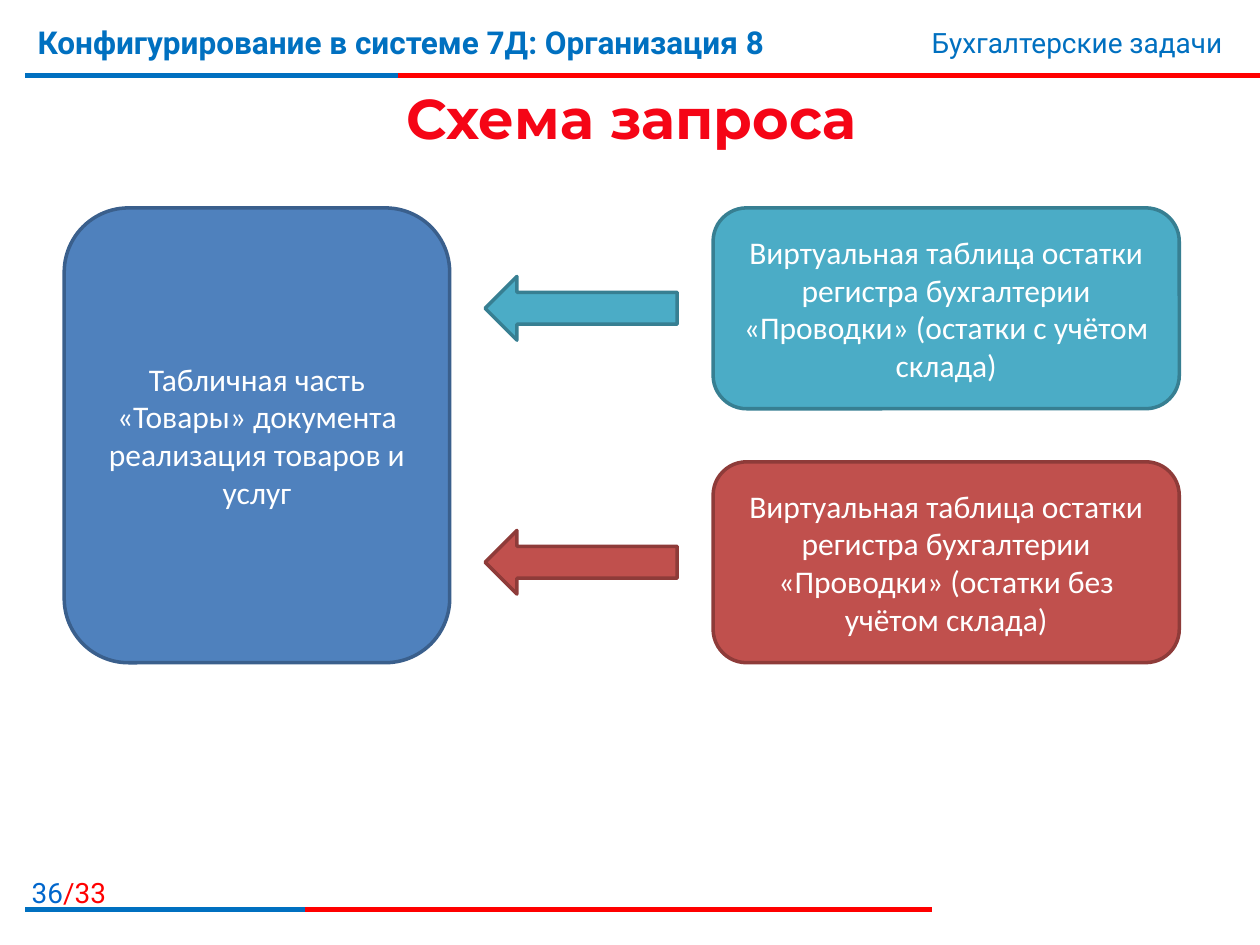
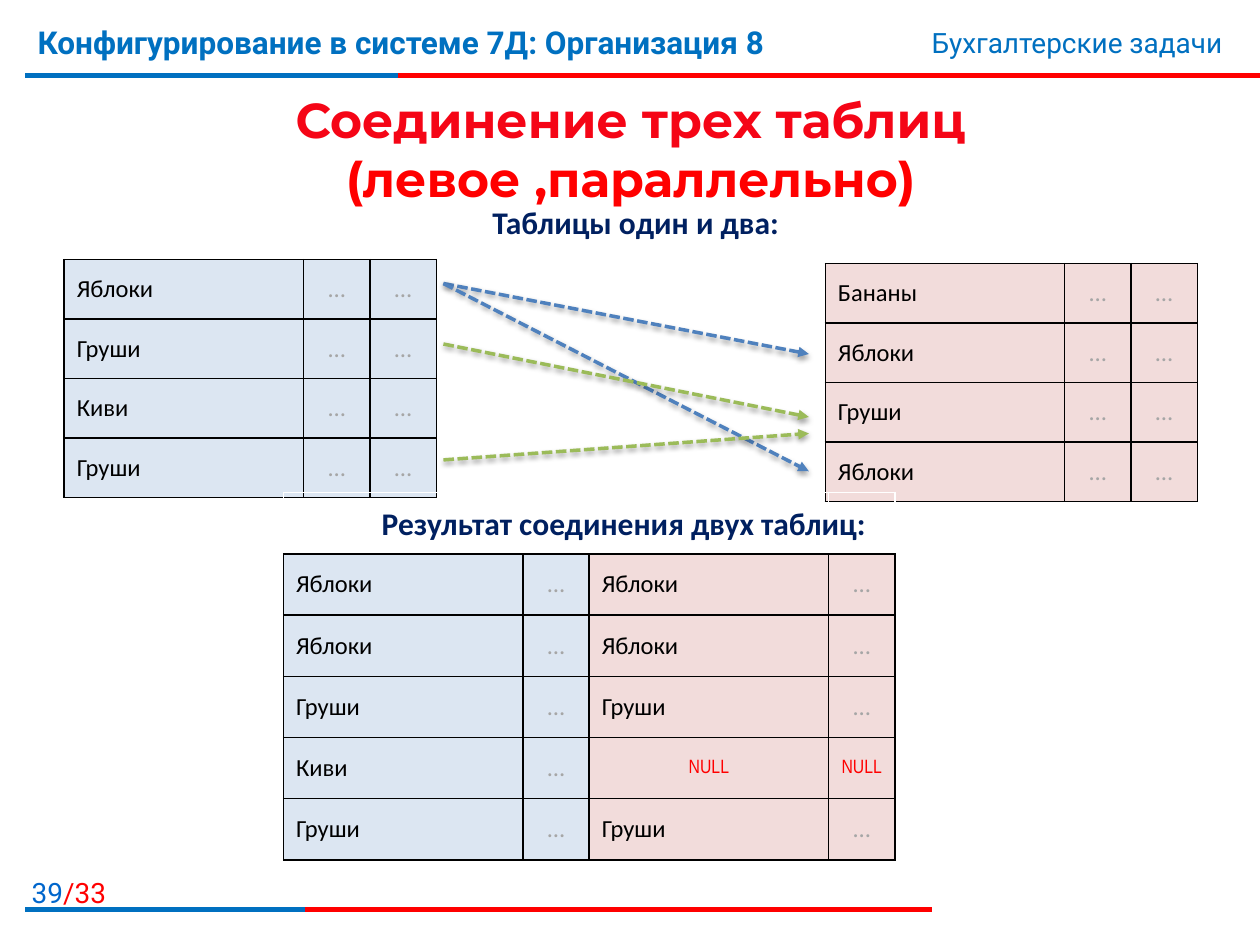
from lxml import etree
from pptx import Presentation
from pptx.dml.color import RGBColor
from pptx.enum.dml import MSO_LINE
from pptx.enum.shapes import MSO_CONNECTOR, MSO_SHAPE
from pptx.enum.text import MSO_ANCHOR, MSO_AUTO_SIZE, PP_ALIGN
from pptx.oxml import parse_xml
from pptx.oxml.ns import nsdecls, qn
from pptx.util import Pt

WHITE = RGBColor(0xFF, 0xFF, 0xFF)
BLACK = RGBColor(0, 0, 0)
RED = RGBColor(0xFF, 0, 0)
TITLE_RED = RGBColor(0xF5, 0x05, 0x16)
BAND_BLUE = RGBColor(0, 0x70, 0xC0)
PAGE_BLUE = RGBColor(0, 0x66, 0xCC)
NAVY = RGBColor(0, 0x20, 0x60)
GRAY = RGBColor(0xA6, 0xA6, 0xA6)
BLUE, BLUE_EDGE = RGBColor(0x4F, 0x81, 0xBD), RGBColor(0x3A, 0x5F, 0x8C)
TEAL, TEAL_EDGE = RGBColor(0x4B, 0xAC, 0xC6), RGBColor(0x37, 0x7F, 0x92)
BRICK, BRICK_EDGE = RGBColor(0xC0, 0x50, 0x4D), RGBColor(0x8E, 0x3B, 0x39)
GREEN = RGBColor(0x9B, 0xBB, 0x59)
PALE_BLUE = RGBColor(0xDC, 0xE6, 0xF2)
PALE_RED = RGBColor(0xF2, 0xDC, 0xDB)

COURSE = "Конфигурирование в системе 7Д: Организация 8"
TOPIC = "Бухгалтерские задачи"
PAGE_TOTAL = "/33"
BANDS = [(43.2, 706.3, 213.1), (519.8, 518.4, 159.8)]
BAND_LEFT = 14.4

SCHEMA_TITLE = [("Схема запроса", TITLE_RED)]
DOCUMENT = "Табличная часть «Товары» документа реализация товаров и услуг"
DOCUMENT_BOX = (36.7, 118.8, 220.3, 259.9)
REGISTERS = [
    ("Виртуальная таблица остатки регистра бухгалтерии «Проводки» (остатки с учётом склада)",
     118.8, TEAL, TEAL_EDGE),
    ("Виртуальная таблица остатки регистра бухгалтерии «Проводки» (остатки без учётом склада)",
     263.9, BRICK, BRICK_EDGE),
]
REGISTER_LEFT, REGISTER_WIDTH, REGISTER_HEIGHT = 407.5, 266.4, 114.8
ARROW_LEFT, ARROW_WIDTH, ARROW_HEIGHT = 277.2, 109.8, 36.4

JOIN_TITLE = [("Соединение трех таблиц", TITLE_RED), ("(левое ,параллельно)", RED)]
DOTS, NULL = "…", "NULL"
LEFT_FRUITS = ["Яблоки", "Груши", "Киви", "Груши"]
RIGHT_FRUITS = ["Бананы", "Яблоки", "Груши", "Яблоки"]
JOINED = [
    ("Яблоки", "Яблоки"),
    ("Яблоки", "Яблоки"),
    ("Груши", "Груши"),
    ("Киви", NULL),
    ("Груши", "Груши"),
]
NAME_COLUMN, DOTS_COLUMN = 136.8, 37.9
CAPTIONS = [
    ("Таблицы один и два:", 274.3, 112.3, 180),
    ("Результат соединения двух таблиц:", 211, 284.6, 293.8),
]
LINKS = [(162, 202.3, BLUE), (162, 269.3, BLUE), (196.6, 238.3, GREEN), (262.8, 247.7, GREEN)]
LINK_START, LINK_END = 253.4, 462.2


def add_run(paragraph, text, size, color, font="Calibri", bold=False):
    run = paragraph.add_run()
    run.text = text
    run.font.size = Pt(size)
    run.font.name = font
    run.font.bold = bold
    run.font.color.rgb = color


def add_label(slide, box, runs, align=PP_ALIGN.LEFT, wrap=True):
    label = slide.shapes.add_textbox(*map(Pt, box))
    label.text_frame.word_wrap = wrap
    paragraph = label.text_frame.paragraphs[0]
    paragraph.alignment = align
    for run in runs:
        add_run(paragraph, *run)


def add_line(slide, start, end, color, width):
    line = slide.shapes.add_connector(MSO_CONNECTOR.STRAIGHT, *map(Pt, start + end))
    line.line.color.rgb = color
    line.line.width = Pt(width)
    effects = etree.SubElement(line._element.spPr, qn("a:effectLst"))
    return line, effects


def add_link(slide, start_y, end_y, color):
    link, effects = add_line(slide, (LINK_START, start_y), (LINK_END, end_y), color, 2)
    link.line.dash_style = MSO_LINE.SQUARE_DOT
    etree.SubElement(link.line._get_or_add_ln(), qn("a:tailEnd"), type="triangle")
    effects.append(parse_xml(
        f'<a:outerShdw {nsdecls("a")} blurRad="40000" dist="20000" dir="5400000" rotWithShape="0">'
        '<a:srgbClr val="000000"><a:alpha val="38000"/></a:srgbClr></a:outerShdw>'))


def start_slide(deck, page, title_lines, title_size, title_box):
    slide = deck.slides.add_slide(deck.slide_layouts[5])
    for y, full, blue in BANDS:
        for length, color in ((full, RED), (blue, BAND_BLUE)):
            add_line(slide, (BAND_LEFT, y), (BAND_LEFT + length, y), color, 3)
    add_label(slide, (0, 496.8, 67.7, 23),
              [(page, 16, PAGE_BLUE, "Roboto"), (PAGE_TOTAL, 16, RED, "Roboto")], PP_ALIGN.RIGHT)
    add_label(slide, (14.4, 9.4, 532.8, 44.6), [(COURSE, 18, BAND_BLUE, "Roboto", True)])
    add_label(slide, (427.7, 10.8, 277.9, 26.6),
              [(TOPIC, 16, BAND_BLUE, "Roboto")], PP_ALIGN.RIGHT)

    title = slide.shapes.title
    title.left, title.top, title.width, title.height = map(Pt, title_box)
    frame = title.text_frame
    frame.auto_size = MSO_AUTO_SIZE.NONE
    frame.vertical_anchor = MSO_ANCHOR.MIDDLE
    paragraph = frame.paragraphs[0]
    paragraph.alignment = PP_ALIGN.CENTER
    for index, (text, color) in enumerate(title_lines):
        if index:
            paragraph.add_line_break()
        add_run(paragraph, text, title_size, color, "Montserrat", True)
    return slide


def add_block(slide, kind, box, fill, edge, text=None):
    block = slide.shapes.add_shape(kind, *map(Pt, box))
    block.shadow.inherit = False
    block.fill.solid()
    block.fill.fore_color.rgb = fill
    block.line.color.rgb = edge
    block.line.width = Pt(2)
    if text:
        block.text_frame.word_wrap = True
        block.text_frame.vertical_anchor = MSO_ANCHOR.MIDDLE
        paragraph = block.text_frame.paragraphs[0]
        paragraph.alignment = PP_ALIGN.CENTER
        add_run(paragraph, text, 18, WHITE)


def border_cell(cell, colors):
    properties = cell._tc.get_or_add_tcPr()
    for side, color in zip("LRTB", colors):
        properties.append(parse_xml(
            f'<a:ln{side} {nsdecls("a")} w="12700"><a:solidFill>'
            f'<a:srgbClr val="{color}"/></a:solidFill></a:ln{side}>'))


def fill_cell(cell, text, color):
    if text is None:
        border_cell(cell, (WHITE, WHITE, WHITE, BLACK))
        cell.fill.background()
        return
    border_cell(cell, [BLACK] * 4)
    cell.fill.solid()
    cell.fill.fore_color.rgb = color
    cell.vertical_anchor = MSO_ANCHOR.MIDDLE
    paragraph = cell.text_frame.paragraphs[0]
    if text in (DOTS, NULL):
        paragraph.alignment = PP_ALIGN.CENTER
    if text == NULL:
        add_run(paragraph, text, 11, RED, "Arial Narrow")
    else:
        add_run(paragraph, text, 14, GRAY if text == DOTS else BLACK)


def add_fruit_table(slide, left, top, row_height, columns, rows):
    widths = [width for width, _ in columns]
    table = slide.shapes.add_table(len(rows), len(columns), Pt(left), Pt(top),
                                   Pt(sum(widths)), Pt(row_height * len(rows))).table
    table.first_row = table.horz_banding = False
    for column, width in zip(table.columns, widths):
        column.width = Pt(width)
    for r, row in enumerate(rows):
        table.rows[r].height = Pt(row_height)
        for c, text in enumerate(row):
            fill_cell(table.cell(r, c), text, columns[c][1])


def build_schema(deck):
    slide = start_slide(deck, "36", SCHEMA_TITLE, 32, (15.1, 45.4, 691.9, 43.2))
    add_block(slide, MSO_SHAPE.ROUNDED_RECTANGLE, DOCUMENT_BOX, BLUE, BLUE_EDGE, DOCUMENT)
    for text, top, fill, edge in REGISTERS:
        add_block(slide, MSO_SHAPE.ROUNDED_RECTANGLE,
                  (REGISTER_LEFT, top, REGISTER_WIDTH, REGISTER_HEIGHT), fill, edge, text)
        arrow_top = top + (REGISTER_HEIGHT - ARROW_HEIGHT) / 2
        add_block(slide, MSO_SHAPE.LEFT_ARROW,
                  (ARROW_LEFT, arrow_top, ARROW_WIDTH, ARROW_HEIGHT), fill, edge)


def build_join(deck):
    slide = start_slide(deck, "39", JOIN_TITLE, 28, (14.4, 43.2, 691.9, 82.8))
    for left, top, fruits, color in ((36.7, 148.3, LEFT_FRUITS, PALE_BLUE),
                                     (471.6, 150.7, RIGHT_FRUITS, PALE_RED)):
        columns = [(NAME_COLUMN, color), (DOTS_COLUMN, color), (DOTS_COLUMN, color)]
        add_fruit_table(slide, left, top, 34, columns, [(fruit, DOTS, DOTS) for fruit in fruits])

    joined_columns = [(width, color) for color in (PALE_BLUE, PALE_RED)
                      for width in (NAME_COLUMN, DOTS_COLUMN)]
    joined_rows = [(None,) * 4] + [
        (left, DOTS, right, NULL if right == NULL else DOTS) for left, right in JOINED]
    add_fruit_table(slide, 162, 281.5, 35, joined_columns, joined_rows)

    for text, left, top, width in CAPTIONS:
        add_label(slide, (left, top, width, 28.8), [(text, 18, NAVY, "Calibri", True)], wrap=False)
    for link in LINKS:
        add_link(slide, *link)


def main():
    deck = Presentation()
    deck.slide_width, deck.slide_height = Pt(720), Pt(540)
    build_schema(deck)
    build_join(deck)
    deck.save("out.pptx")


if __name__ == "__main__":
    main()
